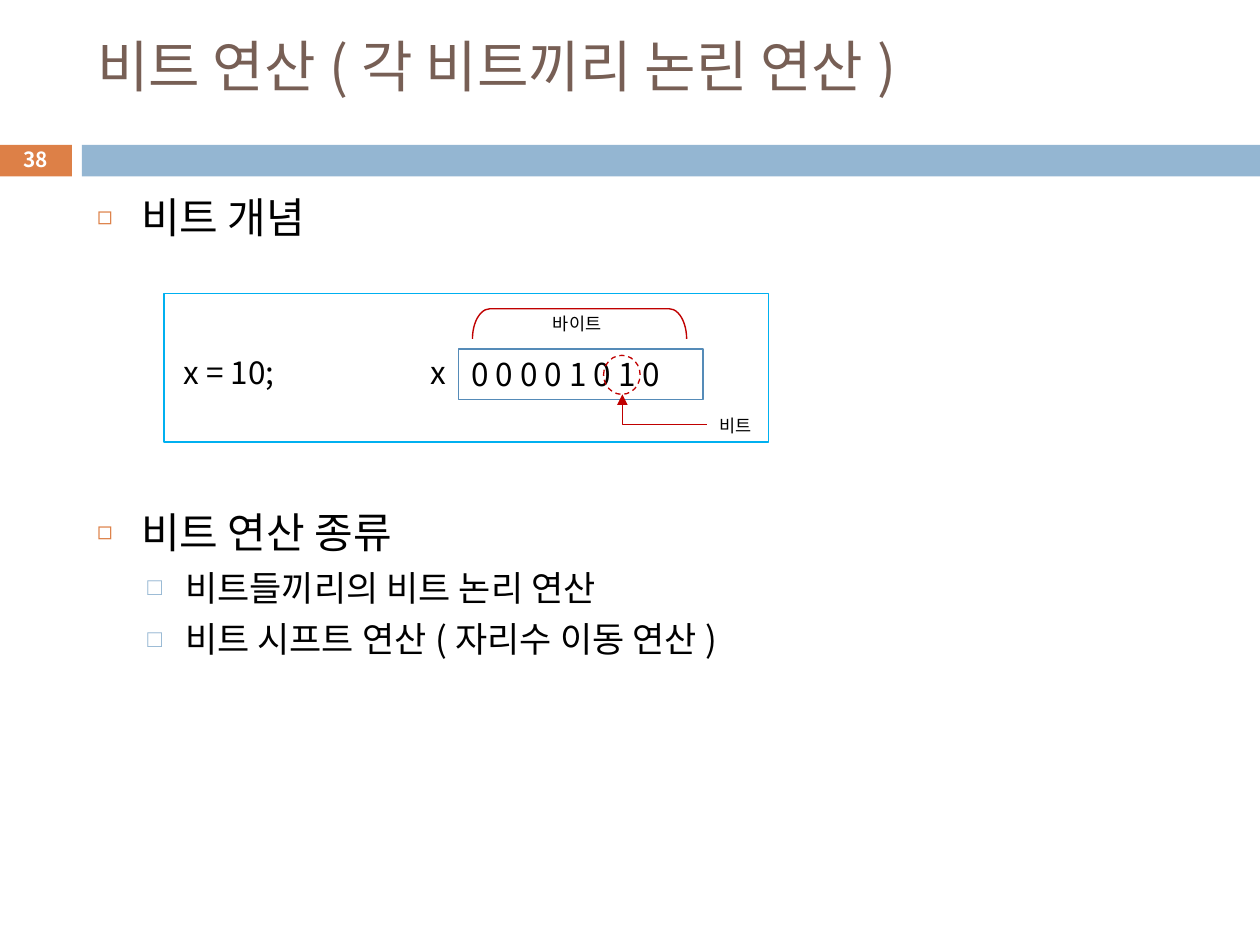
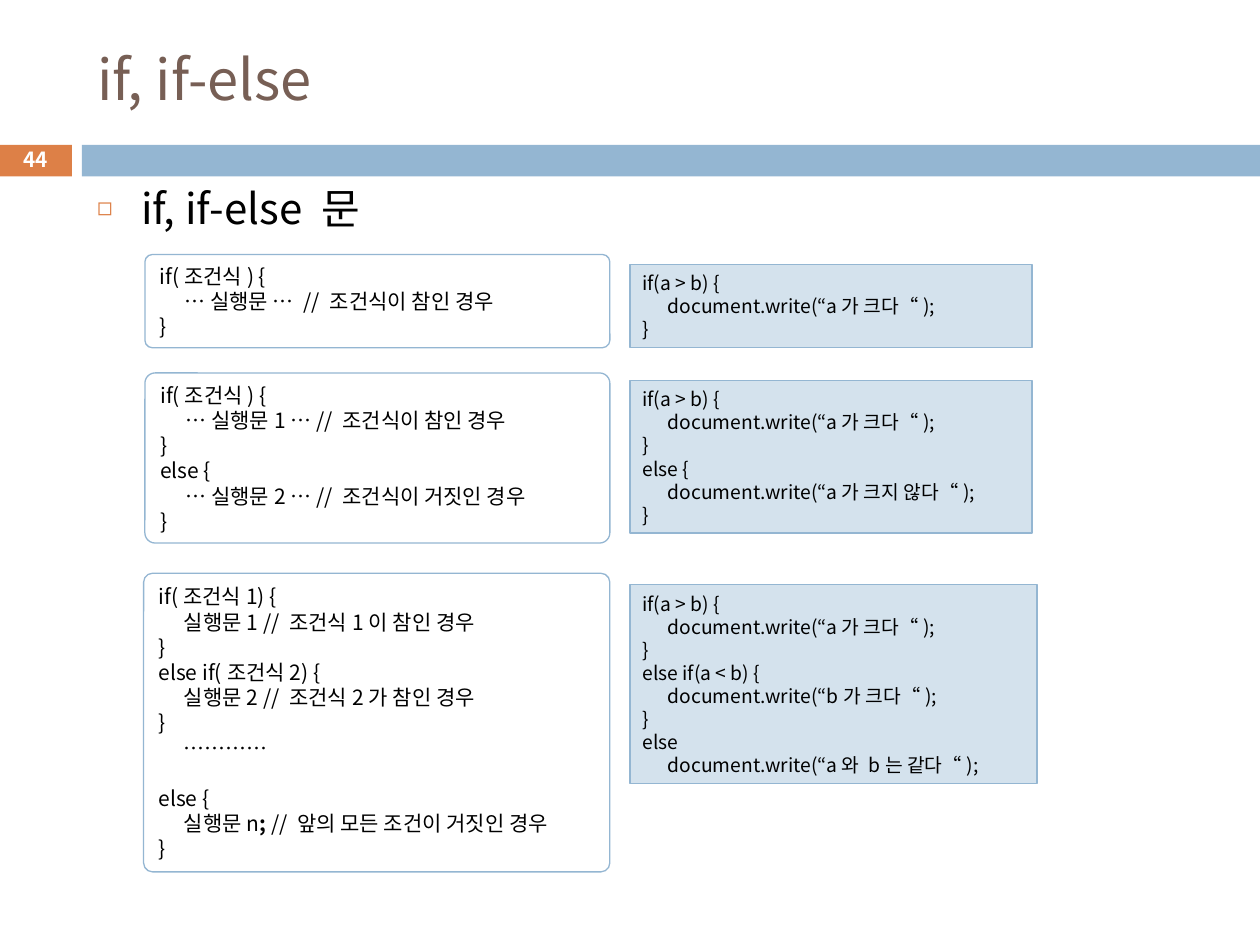
from lxml.etree import SubElement
from pptx import Presentation
from pptx.dml.color import RGBColor
from pptx.enum.dml import MSO_LINE
from pptx.enum.shapes import MSO_CONNECTOR, MSO_SHAPE as Kind
from pptx.enum.text import MSO_ANCHOR, MSO_AUTO_SIZE, PP_ALIGN
from pptx.oxml.ns import qn
from pptx.util import Pt

PX = 9144  # 100 px to the inch
FONT = "Noto Sans CJK KR"
LEAD = 1.2  # line height per point of text
HUES = {
    "black": "000000", "white": "FFFFFF", "brown": "775F55",
    "orange": "DD8047", "blue": "94B6D2", "pale": "D4E2ED",
    "steel": "558BB8", "cyan": "00B0F0", "red": "C00000",
}
# bullet, its hue, its size in %, indent, hang, text size, space before
LEVELS = [
    ("◻", "orange", 60, 35, 35, 24, 7),
    ("□", "blue", 70, 70, 30, 20, 5.5),
]


def hue(name):
    return RGBColor.from_string(HUES[name])


def write(par, text, size, ink="black", bold=False):
    """Add one run, with its font set for Latin and Korean."""
    run = par.add_run()
    run.text = text
    font = run.font
    font.size, font.bold = Pt(size), bold
    font.color.rgb = hue(ink)
    font.name = FONT
    SubElement(font._element, qn("a:ea")).set("typeface", FONT)


def draw(slide, kind, at, fill=None, line=None, width=0.75):
    """Add a preset shape, or a text box when kind is None."""
    at = [n * PX for n in at]
    if kind is None:
        shape = slide.shapes.add_textbox(*at)
    else:
        shape = slide.shapes.add_shape(kind, *at)
        shape.shadow.inherit = False
        if fill:
            shape.fill.solid()
            shape.fill.fore_color.rgb = hue(fill)
        else:
            shape.fill.background()
        if line:
            shape.line.color.rgb = hue(line)
            shape.line.width = Pt(width)
        else:
            shape.line.fill.background()
    frame = shape.text_frame
    frame.auto_size = MSO_AUTO_SIZE.NONE
    frame.vertical_anchor = MSO_ANCHOR.MIDDLE
    frame.paragraphs[0].alignment = PP_ALIGN.LEFT
    return shape


deck = Presentation()
deck.slide_width, deck.slide_height = 1000 * PX, 750 * PX

# number, title, title top, body top, list of (level, text, space before)
pages = [
    ("38", "비트 연산(각 비트끼리 논린 연산)", 15, 147, [
        (0, "비트 개념", 0),
        (0, "비트 연산 종류", 151),
        (1, "비트들끼리의 비트 논리 연산", None),
        (1, "비트 시프트 연산(자리수 이동 연산)", None),
    ]),
    ("44", "if, if-else", 25, 140, [(0, "if, if-else 문", 0)]),
]
slides = []
for number, head, top, start, items in pages:
    slide = deck.slides.add_slide(deck.slide_layouts[1])
    slides.append(slide)
    draw(slide, Kind.RECTANGLE, (-1, 115, 58, 25), "orange")
    draw(slide, Kind.RECTANGLE, (65, 115, 935, 25), "blue")

    title, body = slide.placeholders
    for holder, y, high in ((title, top, 74), (body, start, 551)):
        holder.left, holder.top = 67 * PX, y * PX
        holder.width, holder.height = 892 * PX, high * PX
        holder.text_frame.auto_size = MSO_AUTO_SIZE.NONE
    title.text_frame.vertical_anchor = MSO_ANCHOR.MIDDLE
    par = title.text_frame.paragraphs[0]
    par.alignment = PP_ALIGN.LEFT
    write(par, head, 32, "brown")

    frame = body.text_frame
    for i, (level, text, gap) in enumerate(items):
        mark, tint, share, left, hang, size, before = LEVELS[level]
        par = frame.add_paragraph() if i else frame.paragraphs[0]
        par.level = level
        par.line_spacing = Pt(size * LEAD)
        par.space_before = Pt(before if gap is None else gap)
        props = par._p.get_or_add_pPr()
        props.set("marL", str(left * PX))
        props.set("indent", str(-hang * PX))
        color = SubElement(props, qn("a:buClr"))
        SubElement(color, qn("a:srgbClr")).set("val", HUES[tint])
        SubElement(props, qn("a:buSzPct")).set("val", str(share * 1000))
        SubElement(props, qn("a:buChar")).set("char", mark)
        write(par, text, size)

    label = draw(slide, None, (-1, 113, 58, 27))
    par = label.text_frame.paragraphs[0]
    par.alignment = PP_ALIGN.CENTER
    write(par, number, 11.9, "white", True)

# Bits inside a byte
bits, code = slides
draw(bits, Kind.RECTANGLE, (130, 233, 480, 118), "white", "cyan", 1)
cell = draw(bits, Kind.RECTANGLE, (364, 277, 194, 40), None, "steel")
cell.text_frame.word_wrap = False
write(cell.text_frame.paragraphs[0], "0 0 0 0 1 0 1 0", 18)
for text, size, at in [
    ("x = 10;", 18, (136, 275, 110, 40)),
    ("x", 18, (332, 275, 32, 40)),
    ("비트", 10, (561, 324, 48, 27)),
    ("바이트", 10, (429, 243, 62, 27)),
]:
    label = draw(bits, None, at)
    label.text_frame.word_wrap = False
    write(label.text_frame.paragraphs[0], text, size)

brace = draw(bits, Kind.RIGHT_BRACKET, (448, 172, 24, 170), None, "red", 0.79)
brace.rotation = 270
brace.adjustments[0] = 0.58
ring = draw(bits, Kind.OVAL, (479, 282, 29, 31), None, "red")
ring.line.dash_style = MSO_LINE.DASH

ends = [n * PX for n in (494, 313, 561, 337)]
arrow = bits.shapes.add_connector(MSO_CONNECTOR.ELBOW, *ends)
arrow.line.color.rgb = hue("red")
arrow.line.width = Pt(0.75)
look = arrow._element.spPr
look.find(qn("a:xfrm")).set("rot", "10800000")
look.find(qn("a:prstGeom")).set("prst", "bentConnector2")
SubElement(look.find(qn("a:ln")), qn("a:tailEnd")).set("type", "triangle")
SubElement(look, qn("a:effectLst"))

# Syntax on the left, examples on the right.
# A tab means one indent, an empty line a gap, and ** turns bold on or off.
syntax = [
    ((115, 202, 369, 74), 0.08, """if(조건식) {
\t… 실행문 … // 조건식이 참인 경우
}"""),
    ((115, 296, 369, 135), 0.06, """if(조건식) {
\t… 실행문1 … // 조건식이 참인 경우
}
else {
\t… 실행문2 … // 조건식이 거짓인 경우
}"""),
    ((114, 455, 370, 237), 0.03, """if(조건식1) {
\t실행문1 // 조건식1이 참인 경우
}
else if(조건식2) {
\t실행문2 // 조건식2가 참인 경우
}
\t…………

else {
\t실행문n**; **// 앞의 모든 조건이 거짓인 경우
}"""),
]
samples = [
    ((500, 210, 319, 66), None, """if(a > b) {
\tdocument.write(“a가 크다“);
}"""),
    ((500, 302, 319, 121), None, """if(a > b) {
\tdocument.write(“a가 크다“);
}
else {
\tdocument.write(“a가 크지 않다“);
}"""),
    ((500, 464, 323, 158), None, """if(a > b) {
\tdocument.write(“a가 크다“);
}
else if(a < b) {
\tdocument.write(“b가 크다“);
}
else
\tdocument.write(“a와 b는 같다“);"""),
]
for at, bend, text in syntax + samples:
    if bend:
        panel = draw(code, Kind.ROUNDED_RECTANGLE, at, None, "blue")
        panel.adjustments[0] = bend
        size = 12
    else:
        panel = draw(code, Kind.RECTANGLE, at, "pale", "blue")
        size = 11
    frame = panel.text_frame
    frame.word_wrap = True
    lead = Pt(size * LEAD)
    gap = 0
    for i, line in enumerate(text.split("\n")):
        if not line:
            gap = lead
            continue
        par = frame.add_paragraph() if i else frame.paragraphs[0]
        par.alignment = PP_ALIGN.LEFT
        par.line_spacing, par.space_before = lead, gap
        gap = 0
        if line.startswith("\t"):
            par._p.get_or_add_pPr().set("marL", str(20 * PX))
        for k, part in enumerate(line.strip().split("**")):
            write(par, part, size, bold=k % 2 == 1)

deck.save("out.pptx")
